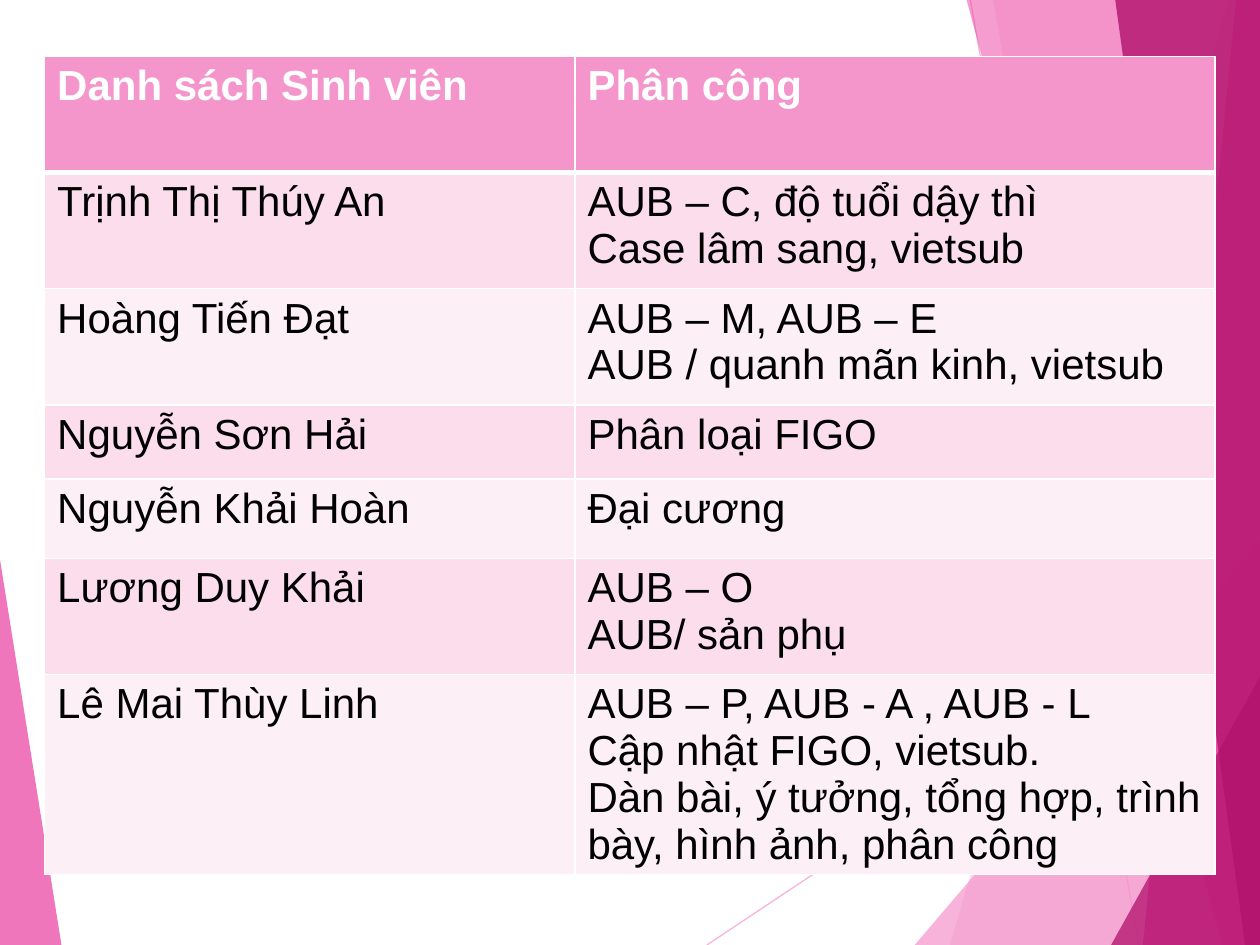
from lxml import etree
from pptx import Presentation
from pptx import util as u
from pptx.dml.color import RGBColor
from pptx.enum import shapes
from pptx.oxml import ns

PINK = RGBColor(0xF4, 0x96, 0xCB)
ROSE = RGBColor(0xEB, 0x3D, 0x9F)
WINE = RGBColor(0xB2, 0x13, 0x6D)
PALE = RGBColor(0xFB, 0xDD, 0xEC)
MIST = RGBColor(0xFD, 0xEF, 0xF6)
WHITE = RGBColor(0xFF, 0xFF, 0xFF)
BLACK = RGBColor(0, 0, 0)

# Slide edges in cm; the facets bleed slightly past them
TOP, BASE, LEFT, RIGHT = -0.02, 19.05, -0.02, 25.43

# Facets: colour, opacity in percent, corners in cm
FACETS = [
    (PINK, 36, [(24.77, 0), (19.15, BASE), (RIGHT, BASE), (RIGHT, 0)]),
    (PINK, 20, [(20.02, TOP), (23.34, BASE), (RIGHT, BASE), (RIGHT, TOP)]),
    (PINK, 72, [(18.44, BASE), (25.4, 10.9), (RIGHT, BASE)]),
    (ROSE, 50, [(19.48, TOP), (24.64, BASE), (RIGHT, BASE), (RIGHT, TOP)]),
    (ROSE, 66, [(24.92, TOP), (23.04, BASE), (RIGHT, BASE), (RIGHT, TOP)]),
    (WINE, 80, [(22.48, TOP), (25.1, BASE), (RIGHT, BASE), (RIGHT, TOP)]),
    (WINE, 76, [(22.4, BASE), (RIGHT, 13.59), (RIGHT, BASE)]),
    (ROSE, 70, [(LEFT, 11.15), (1.24, BASE), (LEFT, BASE)]),
]
RAYS = [(14.25, BASE, RIGHT, 11.61), (19.56, 0, 22.96, BASE)]

# Rows: height in cm, student, tasks (\v is a line break, \n a new paragraph)
ROWS = [
    (2.34, "Danh sách Sinh viên", "Phân công"),
    (2.34, "Trịnh Thị Thúy An", "AUB – C, độ tuổi dậy thì\vCase lâm sang, vietsub"),
    (2.34, "Hoàng Tiến Đạt", "AUB – M, AUB – E\vAUB / quanh mãn kinh, vietsub"),
    (1.5, "Nguyễn Sơn Hải", "Phân loại FIGO"),
    (1.6, "Nguyễn Khải Hoàn", "Đại cương"),
    (2.34, "Lương Duy Khải", "AUB – O\vAUB/ sản phụ"),
    (4, "Lê Mai Thùy Linh",
     "AUB – P, AUB - A , AUB - L\nCập nhật FIGO, vietsub.\n"
     "Dàn bài, ý tưởng, tổng hợp, trình bày, hình ảnh, phân công"),
]
COLS = [10.69, 12.9]


def fade(fill, rate):
    """Make a solid fill partly transparent."""
    tone = fill._xPr.find(".//" + ns.qn("a:srgbClr"))
    etree.SubElement(tone, ns.qn("a:alpha"), val=str(rate * 1000))


def ray(slide, x1, y1, x2, y2):
    line = slide.shapes.add_connector(
        shapes.MSO_CONNECTOR.STRAIGHT, *map(u.Cm, (x1, y1, x2, y2)))
    line.line.width = u.Pt(0.75)
    line.line.color.rgb = PINK
    fade(line.line.fill, 70)
    etree.SubElement(line._element.spPr, ns.qn("a:effectLst"))


def facet(slide, color, rate, spots):
    dots = [(x * 100, y * 100) for x, y in spots]
    pen = slide.shapes.build_freeform(*dots[0], scale=u.Cm(0.01))
    pen.add_line_segments(dots[1:], close=True)
    shape = pen.convert_to_shape()
    shape.shadow.inherit = False
    shape.fill.solid()
    shape.fill.fore_color.rgb = color
    fade(shape.fill, rate)
    shape.line.fill.background()


def edge(cell, side, width):
    props = cell._tc.get_or_add_tcPr()
    line = etree.SubElement(props, ns.qn("a:ln" + side), w=str(u.Pt(width)))
    fill = etree.SubElement(line, ns.qn("a:solidFill"))
    etree.SubElement(fill, ns.qn("a:srgbClr"), val=str(WHITE))


def fill_cell(cell, words, row):
    head = row == 0
    for side in "LRTB":
        thick = (row, side) in [(0, "B"), (1, "T")]
        edge(cell, side, 3 if thick else 1)
    cell.fill.solid()
    cell.fill.fore_color.rgb = PINK if head else PALE if row % 2 else MIST
    cell.text_frame.text = words
    for para in cell.text_frame.paragraphs:
        font = para.font
        font.name, font.size, font.bold = "Arial", u.Pt(24), head
        font.color.rgb = WHITE if head else BLACK


def roster(slide):
    high = sum(row[0] for row in ROWS)
    table = slide.shapes.add_table(
        len(ROWS), len(COLS), u.Cm(0.9), u.Cm(1.14),
        u.Cm(sum(COLS)), u.Cm(high)).table
    for col, wide in zip(table.columns, COLS):
        col.width = u.Cm(wide)
    for r, (tall, *cells) in enumerate(ROWS):
        table.rows[r].height = u.Cm(tall)
        for c, words in enumerate(cells):
            fill_cell(table.cell(r, c), words, r)


def main():
    deck = Presentation()
    deck.slide_width, deck.slide_height = u.Cm(25.4), u.Cm(19.05)
    slide = deck.slides.add_slide(deck.slide_layouts[6])

    # Backdrop
    for ends in RAYS:
        ray(slide, *ends)
    for item in FACETS:
        facet(slide, *item)

    # Student list with tasks
    roster(slide)
    deck.save("out.pptx")


if __name__ == "__main__":
    main()
